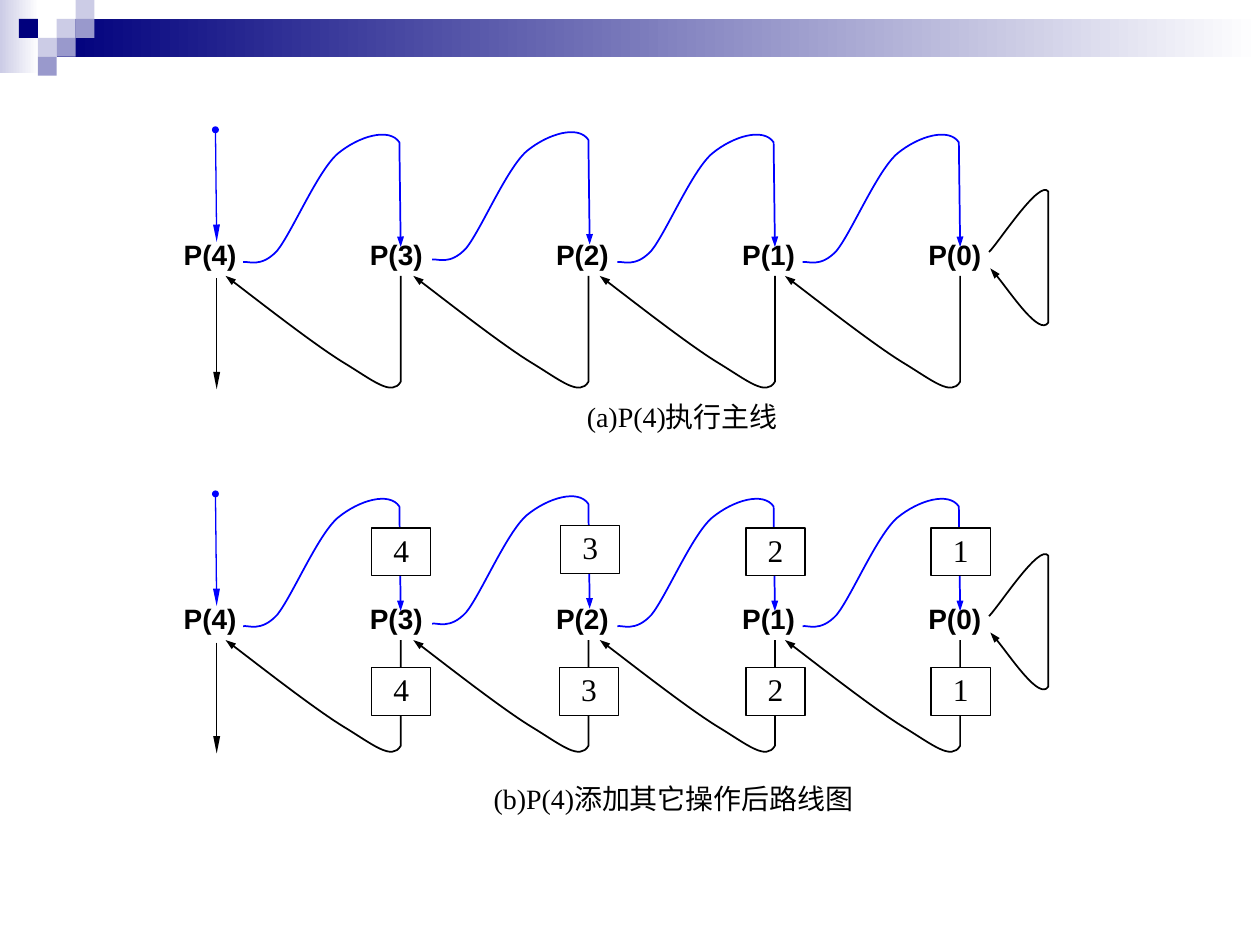
from lxml import etree
from pptx import Presentation
from pptx.dml.color import RGBColor
from pptx.enum.shapes import MSO_CONNECTOR, MSO_SHAPE
from pptx.enum.text import MSO_ANCHOR, PP_ALIGN
from pptx.oxml.ns import qn
from pptx.util import Inches, Pt

RECTANGLE = MSO_SHAPE.RECTANGLE
STRAIGHT = MSO_CONNECTOR.STRAIGHT
TOP, MIDDLE = MSO_ANCHOR.TOP, MSO_ANCHOR.MIDDLE
CENTER, JUSTIFY = PP_ALIGN.CENTER, PP_ALIGN.JUSTIFY

BLACK = RGBColor(0x00, 0x00, 0x00)
WHITE = RGBColor(0xFF, 0xFF, 0xFF)
BLUE = RGBColor(0x00, 0x00, 0xFF)
NAVY = RGBColor(0x00, 0x00, 0x7D)
LILAC = RGBColor(0xCC, 0xCC, 0xE6)
VIOLET = RGBColor(0x99, 0x99, 0xCC)

# Grid in inches: one column per call, one row per diagram
CALLS = 4
LABEL_PITCH = 5.91 / CALLS
ARROW_COLUMNS = (0, 1.49, 2.97, 4.44)
ROW = 2.89
TILE = 0.15
NUDGES = {1: (0.01, -0.02)}  # the second call sits slightly off the grid

# Curves: a start point, then line ends (2 numbers) or cubic curves (6 numbers)
CALL_CURVE = [(1.93, 2.08), (1.97, 2.07, 2.07, 2.13, 2.2, 1.99),
              (2.32, 1.84, 2.52, 1.36, 2.68, 1.22),
              (2.85, 1.08, 3.09, 1.01, 3.17, 1.13), (3.18, 1.96)]
RETURN_CURVE = [(1.79, 2.19), (1.95, 2.31, 2.5, 2.74, 2.73, 2.88),
                (2.96, 3.02, 3.11, 3.15, 3.18, 3.03), (3.18, 2.19)]
BASE_CASE_CURVE = [(7.85, 2.0), (7.93, 1.92, 8.25, 1.42, 8.32, 1.52),
                   (8.32, 2.56), (8.25, 2.67, 7.95, 2.22, 7.86, 2.13)]


def write_text(shape, text, size=16, font="Arial", bold=False, align=CENTER,
               anchor=MIDDLE, insets=(0.1, 0.05, 0.1, 0.05)):
    frame = shape.text_frame
    frame.word_wrap = True
    frame.vertical_anchor = anchor
    (frame.margin_left, frame.margin_top,
     frame.margin_right, frame.margin_bottom) = map(Inches, insets)
    para = frame.paragraphs[0]
    para.alignment = align
    span = para.add_run()
    span.text = text
    span.font.size = Pt(size)
    span.font.name = font
    span.font.bold = bold
    span.font.color.rgb = BLACK


def add_box(page, left, top, width, height, color, outlined=False):
    box = page.shapes.add_shape(RECTANGLE, *map(Inches, (left, top, width, height)))
    box.shadow.inherit = False
    box.fill.solid()
    box.fill.fore_color.rgb = color
    if outlined:
        box.line.color.rgb = BLACK
        box.line.width = Pt(0.75)
    else:
        box.line.fill.background()
    return box


def add_fading_bar(page, left, top, width, height, color):
    bar = add_box(page, left, top, width, height, color)
    bar.fill.gradient()
    bar.fill.gradient_angle = 0
    for stop, shade, position in zip(bar.fill.gradient_stops, (color, WHITE), (0, 1)):
        stop.color.rgb = shade
        stop.position = position


def style_line(shape, color, width, **ends):
    """Each end (headEnd, tailEnd) is a kind, a width and a length."""
    shape.line.color.rgb = color
    shape.line.width = Pt(width)
    outline = shape.line._get_or_add_ln()
    for end in ("headEnd", "tailEnd"):
        if end in ends:
            kind, across, along = ends[end]
            etree.SubElement(outline, qn(f"a:{end}"), type=kind, w=across, len=along)


def add_line(page, start, end, color, **ends):
    line = page.shapes.add_connector(STRAIGHT, *map(Inches, (*start, *end)))
    style_line(line, color, 0.75, **ends)
    etree.SubElement(line._element.spPr, qn("a:effectLst"))


def bend(shape, parts):
    """Join each three line steps of a cubic part into one Bézier step."""
    steps = iter(list(shape._element.iter(qn("a:lnTo"))))
    for part in parts:
        first = next(steps)
        if len(part) == 6:
            first.tag = qn("a:cubicBezTo")
            for step in (next(steps), next(steps)):
                first.append(step[0])
                step.getparent().remove(step)


def add_curve(page, curve, across, down, color, end):
    points = [(Inches(part[i] + across), Inches(part[i + 1] + down))
              for part in curve for i in range(0, len(part), 2)]
    builder = page.shapes.build_freeform(*points[0])
    builder.add_line_segments(points[1:], close=False)
    shape = builder.convert_to_shape()
    bend(shape, curve[1:])
    shape.shadow.inherit = False
    shape.fill.background()
    style_line(shape, color, 1, **{end: ("triangle", "sm", "med")})


def add_count(page, left, top, text):
    box = add_box(page, left, top, 0.47, 0.38, WHITE, outlined=True)
    write_text(box, text, size=18, font="Times New Roman",
               insets=(0.02, 0.01, 0.02, 0.05))


def add_caption(page, left, top, width, text):
    box = page.shapes.add_textbox(*map(Inches, (left, top, width, 0.49)))
    write_text(box, text, font="Times New Roman", anchor=TOP)


def add_header(page):
    add_fading_bar(page, 0, 0, 0.31, 0.58, LILAC)
    add_fading_bar(page, 0.45, TILE, 9.55, 2 * TILE, NAVY)
    for column, row, color in ((3, 1, LILAC), (4, 0, LILAC), (4, 1, VIOLET),
                               (2, 2, LILAC), (1, 1, NAVY), (3, 2, VIOLET),
                               (2, 3, VIOLET)):
        add_box(page, column * TILE, row * TILE, TILE, TILE, color)


def add_diagram(page, down, with_counts):
    # Call labels
    for i in range(CALLS + 1):
        label = add_box(page, 1.36 + i * LABEL_PITCH, 1.81 + down, 0.77, 0.41, WHITE)
        write_text(label, f"P({CALLS - i})", bold=True, align=JUSTIFY)

    # Entry and exit
    arrow = ("triangle", "sm", "lg")
    add_line(page, (1.71, 1.03 + down), (1.72, 1.92 + down), BLUE,
             headEnd=("oval", "sm", "sm"), tailEnd=arrow)
    add_line(page, (1.72, 2.21 + down), (1.72, 3.09 + down), BLACK, tailEnd=arrow)

    # Calls, returns and the values kept on the way
    for i, across in enumerate(ARROW_COLUMNS):
        right, lower = NUDGES.get(i, (0, 0))
        add_curve(page, CALL_CURVE, across + right, down + lower, BLUE, "tailEnd")
        add_curve(page, RETURN_CURVE, across, down, BLACK, "headEnd")
        if with_counts:
            count = str(CALLS - i)
            add_count(page, 2.95 + across + right, 1.3 + down + lower, count)
            add_count(page, 2.95 + across, 2.41 + down, count)
    add_curve(page, BASE_CASE_CURVE, 0, down, BLACK, "tailEnd")


def main():
    deck = Presentation()
    deck.slide_width, deck.slide_height = Inches(10), Inches(7.5)
    page = deck.slides.add_slide(deck.slide_layouts[6])
    add_header(page)
    add_diagram(page, 0, with_counts=False)
    add_caption(page, 4.51, 3.12, 1.81, "(a)P(4)执行主线")
    add_diagram(page, ROW, with_counts=True)
    add_caption(page, 3.62, 6.15, 3.45, "(b)P(4)添加其它操作后路线图")
    deck.save("out.pptx")


if __name__ == "__main__":
    main()
